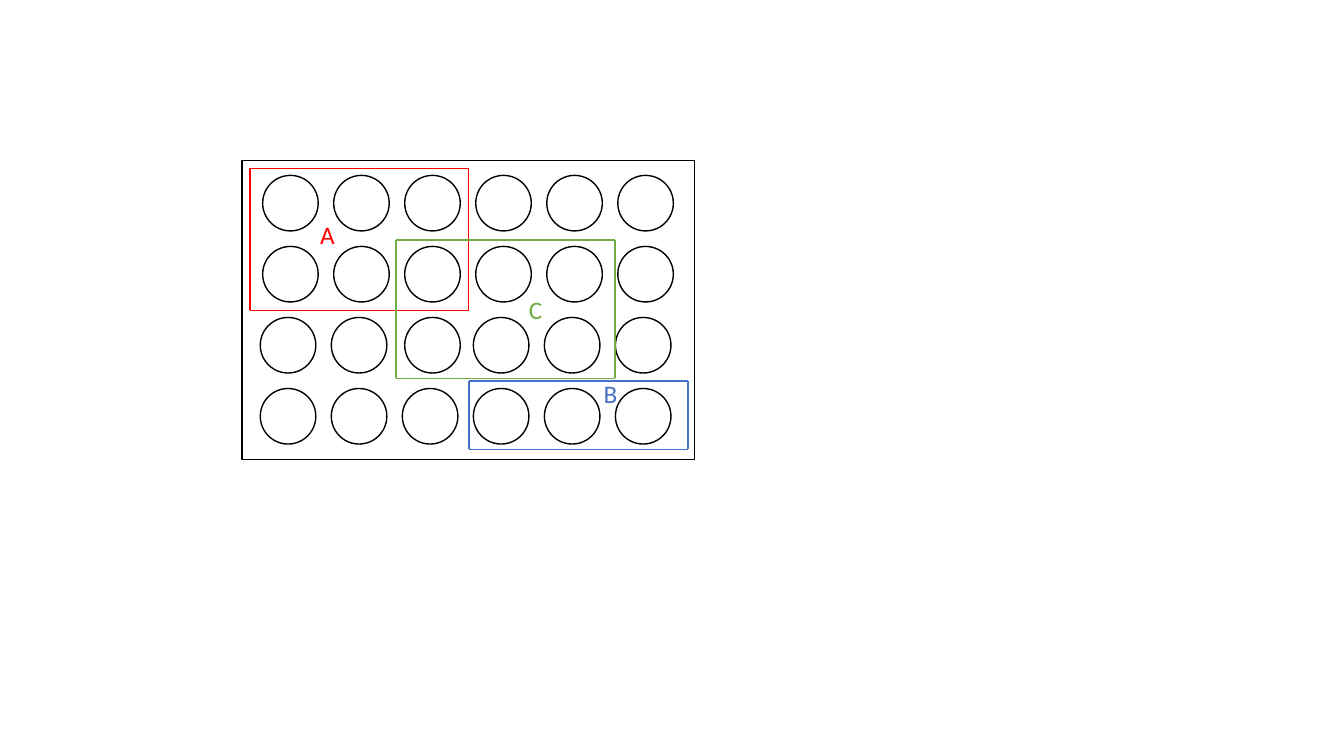
import pptx
import pptx.util
import pptx.dml.color
import pptx.enum.shapes
import pptx.enum.text
import lxml.etree
from pptx.oxml.ns import qn

Cm, Pt = pptx.util.Cm, pptx.util.Pt
KIND = pptx.enum.shapes.MSO_SHAPE

COLORS = {"ink": "000000", "paper": "FFFFFF",
          "A": "FF0000", "B": "4472C4", "C": "70AD47"}

# All lengths in centimetres
PLATE = (6.1, 4.04, 11.4, 7.54)
ROWS, COLS = 4, 6
WELL, PITCH = 1.4, 1.79
START = (6.62, 4.42)
SHIFT = -0.06               # lower two rows sit slightly left
KEPT = (2, 2)               # lower well that stays in line with the upper rows

# name, (left, top, right, bottom), (label left, label top, label width)
GROUPS = [
    ("A", (6.3, 4.24, 11.81, 7.82), (7.82, 5.41, 0.89)),
    ("B", (11.82, 9.6, 17.34, 11.32), (14.96, 9.4, 0.86)),
    ("C", (9.98, 6.05, 15.5, 9.53), (13.08, 7.29, 0.86)),
]
LABEL = 1.02


def color(name):
    return pptx.dml.color.RGBColor.from_string(COLORS[name])


def stroke(item, name):
    item.line.color.rgb = color(name)
    item.line.width = Pt(1)


def add_shape(slide, kind, box):
    shape = slide.shapes.add_shape(kind, *map(Cm, box))
    shape.shadow.inherit = False
    shape.fill.solid()
    shape.fill.fore_color.rgb = color("paper")
    stroke(shape, "ink")


def add_wells(slide):
    for row in range(ROWS):
        for col in range(COLS):
            moved = row >= 2 and (row, col) != KEPT
            left = START[0] + col * PITCH + (SHIFT if moved else 0)
            top = START[1] + row * PITCH
            add_shape(slide, KIND.OVAL, (left, top, WELL, WELL))


def add_frame(slide, name, box):
    """Outline a group of wells with four separate lines."""
    left, top, right, low = box
    sides = [(left, top, left, low), (left, top, right, top),
             (right, top, right, low), (left, low, right, low)]
    for side in sides:
        line = slide.shapes.add_connector(
            pptx.enum.shapes.MSO_CONNECTOR.STRAIGHT, *map(Cm, side))
        stroke(line, name)
        lxml.etree.SubElement(line._element.spPr, qn("a:effectLst"))


def add_label(slide, name, left, top, width):
    box = slide.shapes.add_textbox(Cm(left), Cm(top), Cm(width), Cm(LABEL))
    frame = box.text_frame
    frame.word_wrap = False
    frame.auto_size = pptx.enum.text.MSO_AUTO_SIZE.SHAPE_TO_FIT_TEXT
    run = frame.paragraphs[0].add_run()
    run.text = name
    run.font.name = "Calibri"
    run.font.size = Pt(18)
    run.font.color.rgb = color(name)


def main():
    deck = pptx.Presentation()
    deck.slide_width, deck.slide_height = Cm(33.87), Cm(19.05)
    slide = deck.slides.add_slide(deck.slide_layouts[6])
    add_shape(slide, KIND.RECTANGLE, PLATE)
    add_wells(slide)
    for name, box, spot in GROUPS:
        add_frame(slide, name, box)
        add_label(slide, name, *spot)
    deck.save("out.pptx")


if __name__ == "__main__":
    main()
